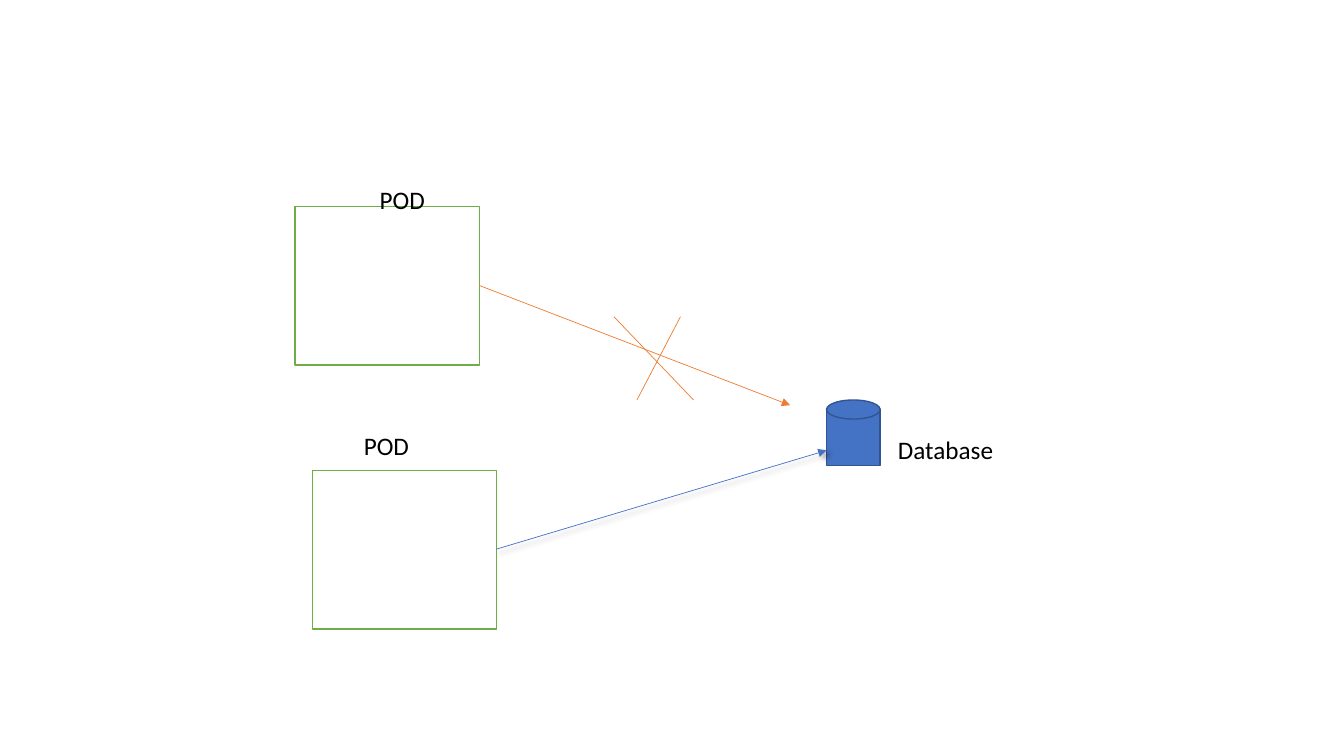
import dataclasses

import pptx
import pptx.dml.color
import pptx.enum.shapes
import pptx.enum.text
import pptx.oxml
import pptx.oxml.ns
import pptx.util
from pptx.util import Cm


@dataclasses.dataclass(frozen=True)
class Theme:
    font: str = "Calibri"
    label_size: float = 18
    outline_width: float = 1
    link_width: float = 0.5
    text: str = "000000"
    pod_fill: str = "FFFFFF"
    pod_line: str = "70AD47"
    database_fill: str = "4472C4"
    database_line: str = "325491"
    allowed: str = "4472C4"
    blocked: str = "ED7D31"


theme = Theme()
rgb = pptx.dml.color.RGBColor.from_string
MSO_SHAPE = pptx.enum.shapes.MSO_SHAPE
NAMESPACE = pptx.oxml.ns.nsdecls("a")
SOFT_SHADOW = (
    '<a:outerShdw blurRad="50800" dist="38100" dir="2700000" algn="tl" rotWithShape="0">'
    '<a:srgbClr val="000000"><a:alpha val="40000"/></a:srgbClr></a:outerShdw>'
)

presentation = pptx.Presentation()
presentation.slide_width = Cm(33.87)
presentation.slide_height = Cm(19.05)
slide = presentation.slides.add_slide(presentation.slide_layouts[6])

# Pods and the database cylinder
pod_size = (4.65, 3.99)
shapes = [
    (MSO_SHAPE.RECTANGLE, (7.44, 5.21, *pod_size), theme.pod_fill, theme.pod_line),
    (MSO_SHAPE.RECTANGLE, (7.87, 11.86, *pod_size), theme.pod_fill, theme.pod_line),
    (MSO_SHAPE.RECTANGLE, (20.83, 10.31, 1.35, 1.42), theme.database_fill, theme.database_line),
    (MSO_SHAPE.OVAL, (20.83, 10.08, 1.35, 0.48), theme.database_fill, theme.database_line),
]
for kind, box, fill, line in shapes:
    shape = slide.shapes.add_shape(kind, *map(Cm, box))
    shape.shadow.inherit = False
    shape.fill.solid()
    shape.fill.fore_color.rgb = rgb(fill)
    shape.line.color.rgb = rgb(line)
    shape.line.width = pptx.util.Pt(theme.outline_width)

# Labels
labels = [
    ("POD", 9.32, 4.52, 2.54),
    ("POD", 8.92, 10.72, 2.54),
    ("Database", 22.38, 10.82, 3.61),
]
for text, left, top, width in labels:
    label = slide.shapes.add_textbox(Cm(left), Cm(top), Cm(width), Cm(1.02))
    label.text_frame.word_wrap = True
    label.text_frame.auto_size = pptx.enum.text.MSO_AUTO_SIZE.SHAPE_TO_FIT_TEXT
    paragraph = label.text_frame.paragraphs[0]
    paragraph.text = text
    paragraph.font.name = theme.font
    paragraph.font.size = pptx.util.Pt(theme.label_size)
    paragraph.font.color.rgb = rgb(theme.text)

# Allowed link, blocked link and the cross over it
links = [
    ((12.5, 13.84, 20.83, 11.35), theme.allowed, True, SOFT_SHADOW),
    ((12.07, 7.19, 19.91, 10.21), theme.blocked, True, ""),
    ((17.48, 10.08, 15.47, 7.98), theme.blocked, False, ""),
    ((16.05, 10.08, 17.15, 7.98), theme.blocked, False, ""),
]
for ends, color, has_arrow, shadow in links:
    connector = slide.shapes.add_connector(
        pptx.enum.shapes.MSO_CONNECTOR.STRAIGHT, *map(Cm, ends)
    )
    connector.line.color.rgb = rgb(color)
    connector.line.width = pptx.util.Pt(theme.link_width)
    properties = connector._element.spPr
    if has_arrow:
        arrowhead = pptx.oxml.parse_xml(f'<a:tailEnd {NAMESPACE} type="triangle"/>')
        properties.find(pptx.oxml.ns.qn("a:ln")).append(arrowhead)
    properties.append(
        pptx.oxml.parse_xml(f"<a:effectLst {NAMESPACE}>{shadow}</a:effectLst>")
    )

presentation.save("out.pptx")
